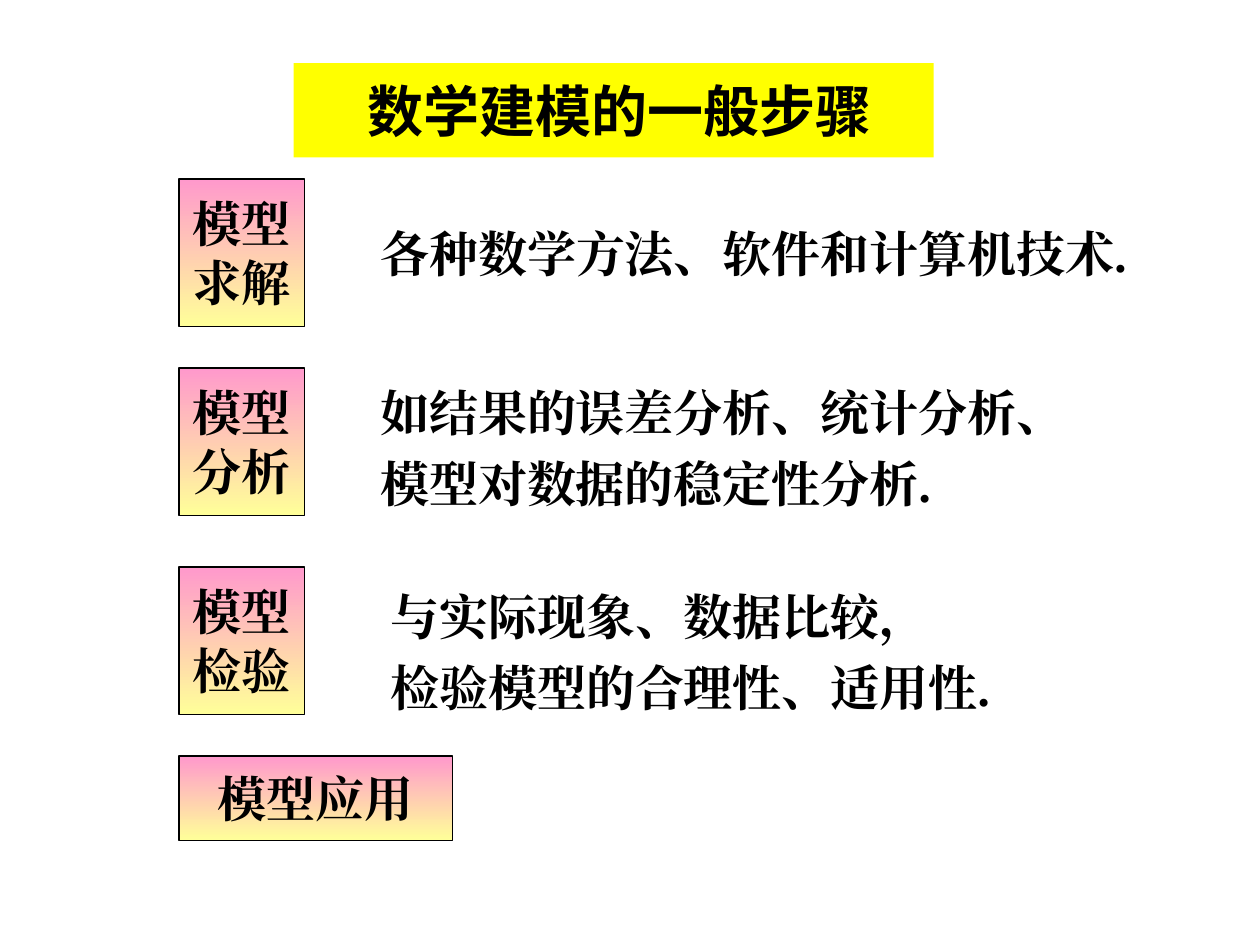
from lxml import etree
from pptx import Presentation
from pptx.dml.color import RGBColor
from pptx.enum.shapes import MSO_SHAPE
from pptx.enum.text import MSO_ANCHOR, PP_ALIGN
from pptx.oxml.ns import qn
from pptx.util import Inches, Pt

RECTANGLE = MSO_SHAPE.RECTANGLE
MIDDLE = MSO_ANCHOR.MIDDLE
CENTER, LEFT = PP_ALIGN.CENTER, PP_ALIGN.LEFT

BLACK = RGBColor(0x00, 0x00, 0x00)
YELLOW = RGBColor(0xFF, 0xFF, 0x00)
PINK = RGBColor(0xFF, 0x99, 0xCC)
PALE_YELLOW = RGBColor(0xFF, 0xFF, 0x99)

BODY_FONT = "Times New Roman"
TITLE_FONT = "Noto Sans CJK SC"

LABEL_LEFT = 1.42
STEPS = [
    ((LABEL_LEFT, 1.42, 1, 1.17), "模型\n求解",
     (2.92, 1.67, 6.08, 0.67), "各种数学方法、软件和计算机技术.", 1.0),
    ((LABEL_LEFT, 2.92, 1, 1.17), "模型\n分析",
     (2.92, 2.92, 6, 1.17), "如结果的误差分析、统计分析、\n模型对数据的稳定性分析.", 1.2),
    ((LABEL_LEFT, 4.5, 1, 1.17), "模型\n检验",
     (3, 4.5, 5.92, 1.25), "与实际现象、数据比较，\n检验模型的合理性、适用性.", 1.2),
]


def write_text(shape, text, alignment, size=28, font=BODY_FONT, spacing=1.0):
    """Fill a shape with bold black text, one paragraph per line."""
    frame = shape.text_frame
    frame.text = text
    frame.word_wrap = False
    frame.vertical_anchor = MIDDLE
    for paragraph in frame.paragraphs:
        paragraph.alignment = alignment
        paragraph.line_spacing = spacing
        for run in paragraph.runs:
            run.font.size = Pt(size)
            run.font.bold = True
            run.font.name = font
            run.font.color.rgb = BLACK
            east_asian = etree.SubElement(run.font._element, qn("a:ea"))
            east_asian.set("typeface", font)


def add_rectangle(slide, box):
    """Add a rectangle without a shadow."""
    shape = slide.shapes.add_shape(RECTANGLE, *map(Inches, box))
    shape.shadow.inherit = False
    return shape


def add_title(slide, box, text):
    """Add the yellow title banner."""
    banner = add_rectangle(slide, box)
    banner.fill.solid()
    banner.fill.fore_color.rgb = YELLOW
    banner.line.fill.background()
    write_text(banner, text, CENTER, size=32, font=TITLE_FONT)


def add_label(slide, box, text):
    """Add a step label that fades from pink down to pale yellow."""
    label = add_rectangle(slide, box)
    label.fill.gradient()
    label.fill.gradient_angle = 270
    for stop, color, position in zip(label.fill.gradient_stops, (PINK, PALE_YELLOW), (0, 1)):
        stop.color.rgb = color
        stop.position = position
    label.line.color.rgb = BLACK
    label.line.width = Pt(0.75)
    write_text(label, text, CENTER)


def add_description(slide, box, text, spacing):
    """Add the explanation beside a step label."""
    description = slide.shapes.add_textbox(*map(Inches, box))
    write_text(description, text, LEFT, spacing=spacing)


def main():
    """Build and save the slide."""
    presentation = Presentation()
    presentation.slide_width = Inches(10)
    presentation.slide_height = Inches(7.5)
    slide = presentation.slides.add_slide(presentation.slide_layouts[6])
    for label_box, label, description_box, description, spacing in STEPS:
        add_label(slide, label_box, label)
        add_description(slide, description_box, description, spacing)
    add_label(slide, (LABEL_LEFT, 6, 2.17, 0.67), "模型应用")
    add_title(slide, (2.33, 0.5, 5.08, 0.75), " 数学建模的一般步骤")
    presentation.save("out.pptx")


if __name__ == "__main__":
    main()
